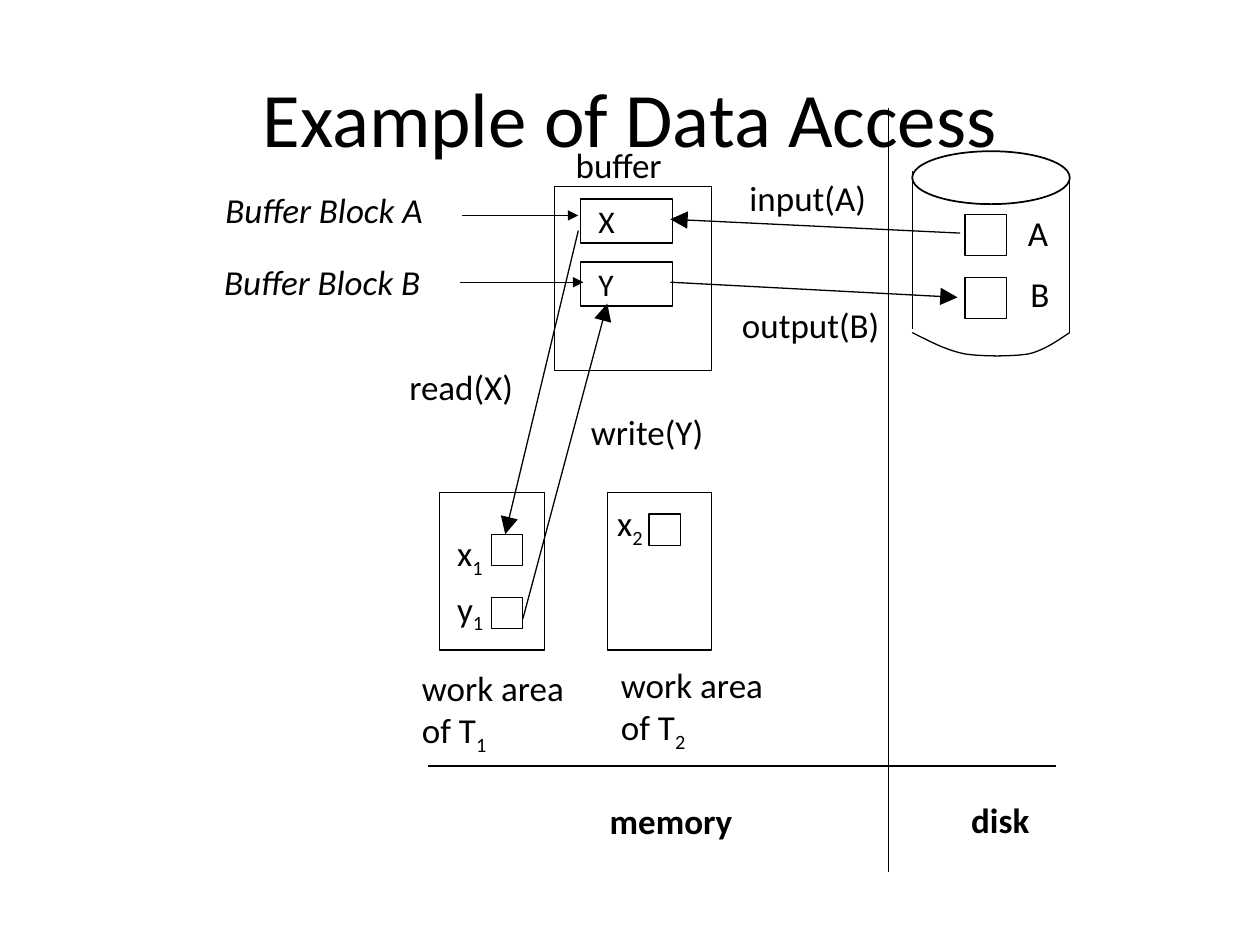
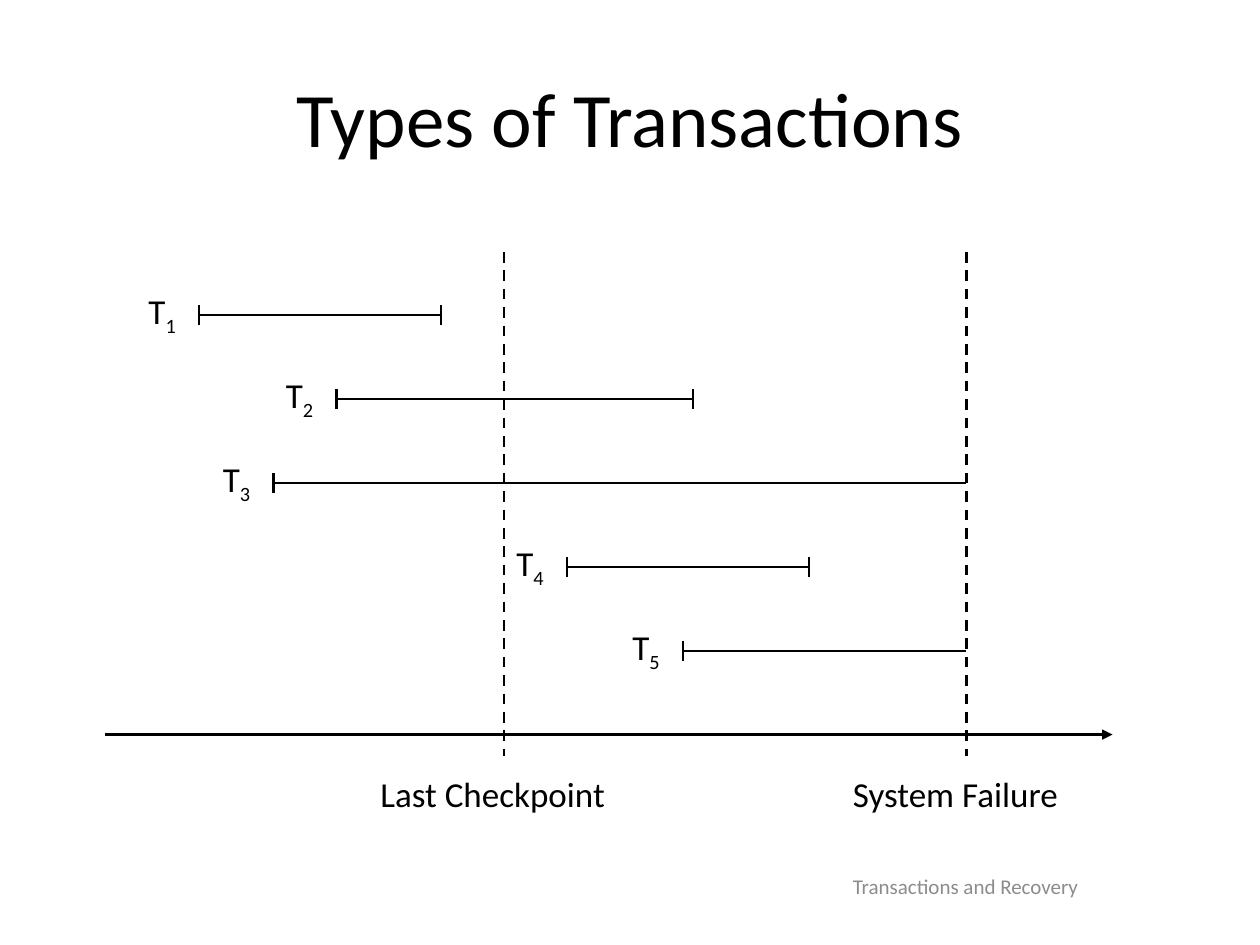
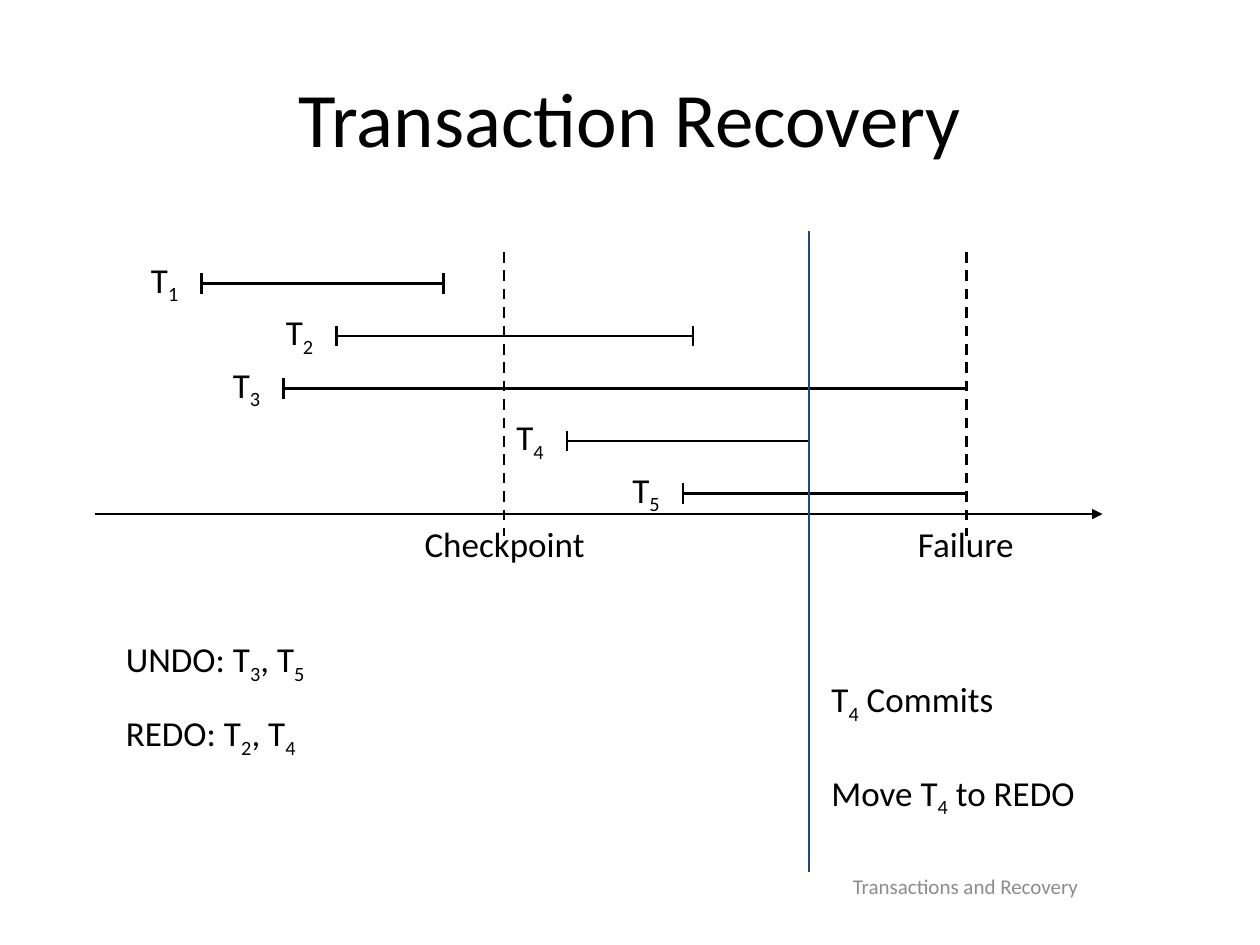
import pptx
import pptx.dml.color
import pptx.enum.dml
import pptx.enum.shapes
import pptx.enum.text
import pptx.oxml.ns
import pptx.util
from lxml import etree
from pptx.util import Inches

SHAPES = pptx.enum.shapes.MSO_SHAPE
ALIGN = pptx.enum.text.PP_ALIGN
ANCHOR = pptx.enum.text.MSO_ANCHOR
FIT = pptx.enum.text.MSO_AUTO_SIZE
TITLE_ONLY = 5

CHECKPOINT_X = 4
FAILURE_X = 7.67


def rgb(hex_colour):
    return pptx.dml.color.RGBColor.from_string(hex_colour)


class Deck:
    FONT = "Calibri"
    INK = "000000"
    FOOTER = "8C8C8C"
    ACCENT = "1F497D"
    BODY, TITLE, SMALL = 20, 44, 12
    THIN, THICK = 0.75, 1.5

    def __init__(self):
        self.prs = pptx.Presentation()
        self.prs.slide_width = Inches(10)
        self.prs.slide_height = Inches(7.5)
        self.slide = None

    def new_slide(self, title, footer=None):
        layout = self.prs.slide_layouts[TITLE_ONLY]
        self.slide = self.prs.slides.add_slide(layout)
        heading = self.slide.shapes.title
        heading.left, heading.top = Inches(0.5), Inches(0.3)
        heading.width, heading.height = Inches(9), Inches(1.25)
        heading.text_frame.vertical_anchor = ANCHOR.MIDDLE
        self.set_text(heading.text_frame, title, self.TITLE, align=ALIGN.CENTER)
        if footer:
            note = self.text(footer, 6.67, 6.83, 2.92, 0.4, wrap=True,
                             size=self.SMALL, colour=self.FOOTER)
            note.text_frame.auto_size = FIT.NONE
            note.text_frame.vertical_anchor = ANCHOR.MIDDLE

    def set_text(self, frame, text, size=BODY, colour=INK, align=ALIGN.LEFT,
                 bold=None, italic=None, gap=0):
        """Fill a frame; the character after an underscore is a subscript."""
        for index, line in enumerate(text.split("\n")):
            paragraph = frame.add_paragraph() if index else frame.paragraphs[0]
            paragraph.alignment = align
            if index and gap:
                paragraph.space_before = pptx.util.Pt(gap)
            font = paragraph.font
            font.name, font.size = self.FONT, pptx.util.Pt(size)
            font.bold, font.italic = bold, italic
            font.color.rgb = rgb(colour)
            plain, *marked = line.split("_")
            paragraph.add_run().text = plain
            for part in marked:
                subscript = paragraph.add_run()
                subscript.text = part[0]
                subscript.font._element.set("baseline", "-25000")
                if part[1:]:
                    paragraph.add_run().text = part[1:]

    def text(self, text, x, y, width, height=0.44, wrap=False, **style):
        box = self.slide.shapes.add_textbox(
            Inches(x), Inches(y), Inches(width), Inches(height))
        box.text_frame.word_wrap = wrap
        box.text_frame.auto_size = FIT.SHAPE_TO_FIT_TEXT
        self.set_text(box.text_frame, text, **style)
        return box

    def outline(self, shape, weight=THIN):
        shape.shadow.inherit = False
        shape.fill.background()
        shape.line.color.rgb = rgb(self.INK)
        shape.line.width = pptx.util.Pt(weight)

    def shape(self, x, y, width, height, kind=SHAPES.RECTANGLE, weight=THIN,
              label=None):
        shape = self.slide.shapes.add_shape(
            kind, Inches(x), Inches(y), Inches(width), Inches(height))
        self.outline(shape, weight)
        if label:
            frame = shape.text_frame
            frame.margin_left = Inches(0.14)
            frame.vertical_anchor = ANCHOR.MIDDLE
            self.set_text(frame, label, size=18)

    def curve(self, start, segments, steps=12):
        """Draw joined cubic curves as one open outline."""
        points, origin = [], start
        for a, b, end in segments:
            for step in range(1, steps + 1):
                t = step / steps
                u = 1 - t
                points.append(tuple(
                    Inches(u**3 * p + 3 * u * u * t * q + 3 * u * t * t * r + t**3 * s)
                    for p, q, r, s in zip(origin, a, b, end)))
            origin = end
        builder = self.slide.shapes.build_freeform(
            Inches(start[0]), Inches(start[1]), scale=1.0)
        builder.add_line_segments(points, close=False)
        self.outline(builder.convert_to_shape())

    def line(self, x1, y1, x2, y2, weight=THIN, colour=INK, dashed=False,
             arrow=None):
        """Draw a line; arrow is the head size, med or lg."""
        line = self.slide.shapes.add_connector(
            pptx.enum.shapes.MSO_CONNECTOR.STRAIGHT,
            Inches(x1), Inches(y1), Inches(x2), Inches(y2))
        line.line.color.rgb = rgb(colour)
        line.line.width = pptx.util.Pt(weight)
        if dashed:
            line.line.dash_style = pptx.enum.dml.MSO_LINE.DASH
        qn = pptx.oxml.ns.qn
        properties = line._element.spPr
        if arrow:
            etree.SubElement(properties.find(qn("a:ln")), qn("a:tailEnd"),
                             type="triangle", w=arrow, len=arrow)
        etree.SubElement(properties, qn("a:effectLst"))

    def timeline(self, spans, first_y, step, axis_x, axis_y, marker_end):
        """Draw transactions over time; those cut by the failure stay open."""
        for x in (CHECKPOINT_X, FAILURE_X):
            self.line(x, 2, x, marker_end, self.THICK, dashed=True)
        self.line(axis_x, axis_y, axis_x + 8, axis_y, self.THICK, arrow="med")
        for index, (start, end) in enumerate(spans):
            y = first_y + index * step
            self.line(start, y, end, y, self.THICK)
            for x in (start, end):
                if x != FAILURE_X:
                    self.line(x, y - 0.08, x, y + 0.08, self.THICK)
            self.text(f"T_{index + 1}", start - 0.5, y - 0.25, 0.47, 0.43)


def data_access(deck):
    deck.new_slide("Example of Data Access")

    # Buffer and its blocks
    deck.shape(4.4, 1.48, 1.25, 1.46)
    for label, y in (("X", 1.58), ("Y", 2.08)):
        deck.shape(4.61, y, 0.73, 0.35, label=label)
    deck.text("buffer", 4.47, 1.09, 0.91)
    deck.text("Buffer Block A", 1.69, 1.45, 1.85, italic=True)
    deck.text("Buffer Block B", 1.68, 2.02, 1.78, italic=True)
    deck.line(3.67, 1.71, 4.59, 1.71, arrow="med")
    deck.line(3.65, 2.24, 4.63, 2.24, arrow="med")

    # Disk
    deck.shape(7.24, 1.2, 1.25, 0.42, SHAPES.OVAL, weight=1)
    deck.line(7.24, 1.36, 7.24, 2.61)
    deck.line(8.49, 1.39, 8.49, 2.64)
    deck.curve((7.24, 2.64), [
        ((7.38, 2.71), (7.51, 2.78), (7.66, 2.81)),
        ((7.81, 2.83), (8.02, 2.83), (8.16, 2.81)),
        ((8.3, 2.78), (8.44, 2.67), (8.49, 2.64))])
    for y in (1.7, 2.2):
        deck.shape(7.66, y, 0.33, 0.33)
    deck.text("A", 8.06, 1.63, 0.36)
    deck.text("B", 8.08, 2.11, 0.35)

    # Work areas
    for x in (3.49, 4.82):
        deck.shape(x, 3.91, 0.83, 1.25)
    for x, y in ((5.15, 4.08), (3.9, 4.24), (3.9, 4.74)):
        deck.shape(x, y, 0.25, 0.25)
    deck.text("x_1", 3.53, 4.17, 0.42)
    deck.text("y_1", 3.53, 4.61, 0.46)
    deck.text("x_2", 4.8, 3.93, 0.42)
    deck.text("work area\nof T_1", 3.25, 5.24, 1.5, 0.77, wrap=True)
    deck.text("work area\nof T_2", 4.83, 5.22, 1.34, 0.77)

    # Operations
    for arrow in ((7.62, 1.85, 5.32, 1.74), (5.32, 2.24, 7.6, 2.36),
                  (4.59, 1.83, 4.01, 4.24), (4.15, 4.91, 4.82, 2.41)):
        deck.line(*arrow, arrow="lg")
    deck.text("input(A)", 5.85, 1.35, 1.17)
    deck.text("output(B)", 5.79, 2.36, 1.42)
    deck.text("read(X)", 3.15, 2.85, 1.04)
    deck.text("write(Y)", 4.59, 3.21, 1.11)

    # Memory and disk regions
    deck.line(3.4, 6.08, 8.38, 6.08)
    deck.line(7.05, 0.86, 7.05, 6.92)
    deck.text("memory", 4.74, 6.3, 1.18, bold=True)
    deck.text("disk", 7.61, 6.29, 0.67, bold=True)


def transaction_types(deck):
    deck.new_slide("Types of Transactions", "Transactions and Recovery")
    deck.timeline([(1.58, 3.5), (2.67, 5.5), (2.17, FAILURE_X),
                   (4.5, 6.42), (5.42, FAILURE_X)],
                  first_y=2.5, step=2 / 3, axis_x=0.83, axis_y=5.83,
                  marker_end=6)
    deck.text("Last Checkpoint", 2.92, 6.08, 2.19, 0.43)
    deck.text("System Failure", 6.67, 6.08, 2.05, 0.43)


def transaction_recovery(deck):
    deck.new_slide("Transaction Recovery", "Transactions and Recovery")
    deck.timeline([(1.6, 3.52), (2.67, 5.5), (2.25, FAILURE_X),
                   (4.5, 6.42), (5.42, FAILURE_X)],
                  first_y=2.25, step=5 / 12, axis_x=0.75, axis_y=4.08,
                  marker_end=4.25)
    deck.text("Checkpoint", 3.21, 4.1, 1.59, 0.43, align=ALIGN.CENTER)
    deck.text("Failure", 7.14, 4.1, 1.05, 0.43, align=ALIGN.CENTER)

    # Recovery lists
    deck.text("UNDO: T_3, T_5", 0.9, 5.01, 3.02, 0.43, wrap=True)
    deck.text("REDO: T_2, T_4", 0.9, 5.6, 1.85, 0.43)

    # Current moment
    deck.line(6.42, 1.83, 6.42, 6.92, deck.THICK, deck.ACCENT)
    deck.text("T_4 Commits\nMove T_4 to REDO", 6.5, 5.33, 2.42, 1.1,
              wrap=True, gap=26)


def main():
    deck = Deck()
    data_access(deck)
    transaction_types(deck)
    transaction_recovery(deck)
    deck.prs.save("out.pptx")


if __name__ == "__main__":
    main()
